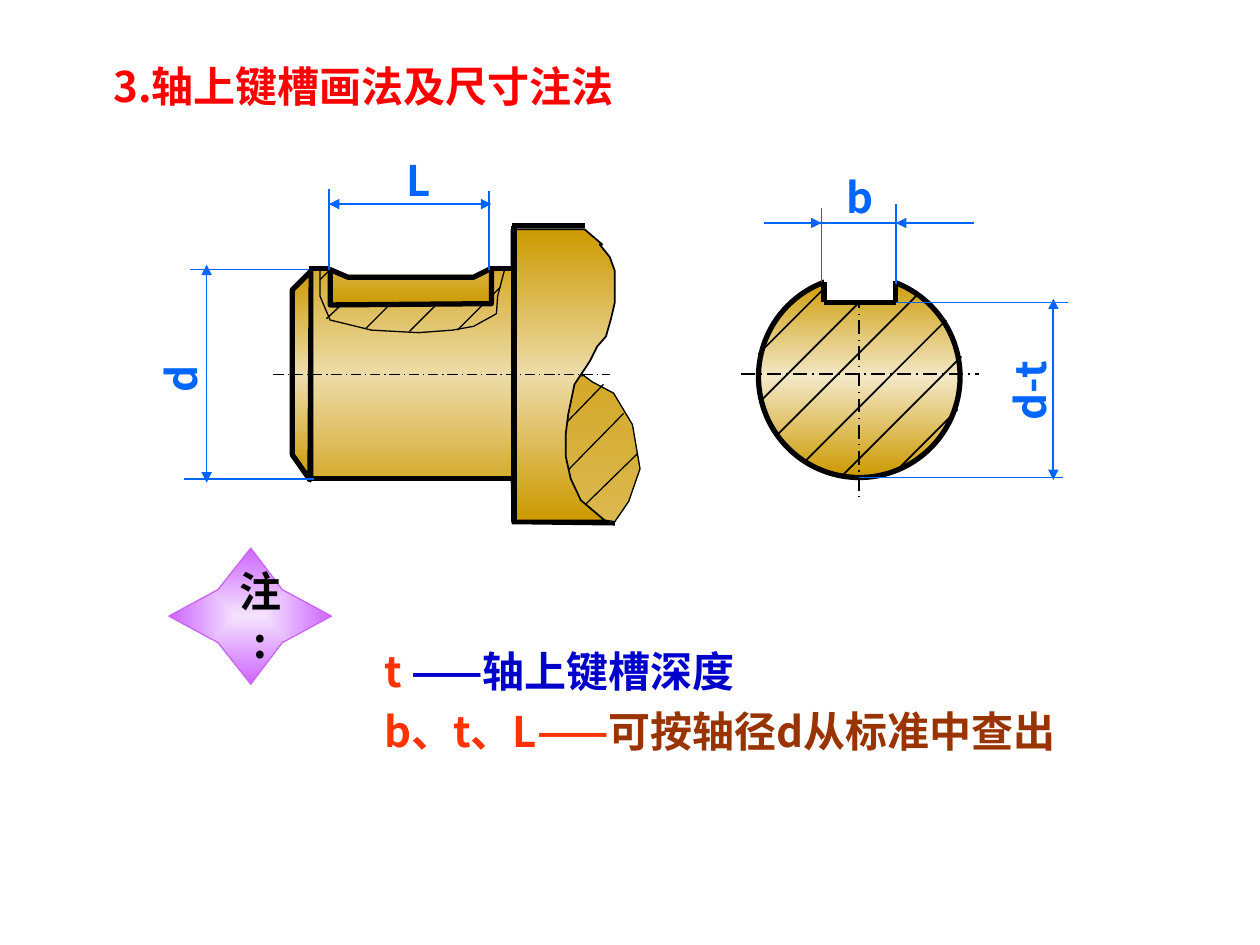
from pptx import Presentation
from pptx.dml.color import RGBColor
from pptx.enum import dml, shapes, text
from pptx.oxml import parse_xml
from pptx.oxml.ns import nsdecls, qn
from pptx.util import Inches, Pt

THEME = dict(
    font="Noto Sans CJK SC", size=24, black="000000", white="FFFFFF",
    title="FF0000", dim="0066FF", symbol="FF3300", depth="0000CC", lookup="993300",
    star_line="CC66FF", star=["F5E3FE", "CC66FF"],
    section=["CC9900", "DBB84F"], slot=["D9B445", "CC9900"],
    chamfer=["CC9900", "EEDEAE", "CC9900"],
    body=["CC9900", "EDDCA9", "CC9900"],
    disc=["CC9900", "F3E8C7", "CC9900"],
)
THICK, THIN, HAIR = 3, 1, 0.75

prs = Presentation()
prs.slide_width, prs.slide_height = Inches(10), Inches(7.5)
s = prs.slides.add_slide(prs.slide_layouts[5])


def paint(sp, stops, from_centre=False):
    """Fill with evenly spaced gradient stops, top to bottom or from the centre."""
    sp.fill.gradient()
    gs = "".join(
        f'<a:gs pos="{i * 100000 // (len(stops) - 1)}"><a:srgbClr val="{c}"/></a:gs>'
        for i, c in enumerate(stops))
    way = '<a:lin ang="5400000" scaled="0"/>'
    if from_centre:
        way = '<a:path path="rect"><a:fillToRect l="50000" t="50000" r="50000" b="50000"/></a:path>'
    spPr = sp.element.spPr
    spPr.replace(spPr.find(qn("a:gradFill")), parse_xml(
        f'<a:gradFill {nsdecls("a")} rotWithShape="1"><a:gsLst>{gs}</a:gsLst>{way}</a:gradFill>'))


def draw(points, width, color=THEME["black"], dashed=False, ends=()):
    """Draw a connector through two points, or a freeform through more."""
    pts = [(Inches(x), Inches(y)) for x, y in points]
    if len(pts) == 2:
        sp = s.shapes.add_connector(shapes.MSO_CONNECTOR.STRAIGHT, *pts[0], *pts[1])
    else:
        fb = s.shapes.build_freeform(*pts[0], scale=1.0)
        fb.add_line_segments(pts[1:], close=points[0] == points[-1])
        sp = fb.convert_to_shape()
        sp.shadow.inherit = False
        sp.fill.background()
    sp.line.width = Pt(width)
    sp.line.color.rgb = RGBColor.from_string(color)
    if dashed:
        sp.line.dash_style = dml.MSO_LINE.LONG_DASH_DOT
    spPr = sp.element.spPr
    for end in ends:
        spPr.find(qn("a:ln")).append(parse_xml(f'<a:{end} {nsdecls("a")} type="triangle"/>'))
    if len(pts) == 2:
        spPr.append(parse_xml(f'<a:effectLst {nsdecls("a")}/>'))
    return sp


# Shaft, side view: broken-out end, chamfer and body
for edge in [((2.48, 2.14), (4.06, 2.14)), ((4.06, 1.79), (4.64, 1.79)),
             ((4.06, 4.14), (4.88, 4.15))]:
    draw(edge, THICK)
section = [(4.64, 1.82), (4.83, 2.05), (4.87, 2.32), (4.78, 2.68), (4.56, 3.04), (4.48, 3.39),
           (4.48, 3.55), (4.5, 3.72), (4.58, 3.95), (4.75, 4.12), (4.88, 4.14), (4.99, 3.98),
           (5.08, 3.72), (5.02, 3.37), (4.87, 3.12), (4.7, 3.03), (4.62, 2.97), (4.62, 2.99)]
paint(draw(section, HAIR), THEME["section"])
for hatch in [((4.79, 3.05), (4.48, 3.37)), ((4.95, 3.28), (4.48, 3.76)),
              ((5.06, 3.6), (4.64, 4.01))]:
    draw(hatch, HAIR)
chamfer = [(2.46, 3.81), (2.32, 3.61), (2.32, 2.3), (2.47, 2.15), (2.46, 3.81)]
paint(draw(chamfer, THICK), THEME["chamfer"])
body = [(4.64, 1.82), (4.78, 1.94), (4.76, 1.94), (4.84, 2.04), (4.88, 2.15), (4.88, 2.4),
        (4.85, 2.53), (4.81, 2.67), (4.74, 2.75), (4.68, 2.87), (4.56, 3.05), (4.51, 3.29),
        (4.49, 3.45), (4.49, 3.62), (4.53, 3.8), (4.61, 3.97), (4.8, 4.13), (4.07, 4.13),
        (4.06, 3.8), (2.48, 3.8), (2.48, 2.13), (4.06, 2.14), (4.06, 1.82), (4.64, 1.82)]
paint(draw(body, THIN), THEME["body"])
draw([(2.17, 2.97), (4.84, 2.97)], HAIR, dashed=True)
for edge in [((4.08, 1.79), (4.08, 4.14)), ((2.44, 3.8), (4.07, 3.8))]:
    draw(edge, THICK)

# Shaft, cross-section
disc = s.shapes.add_shape(shapes.MSO_SHAPE.OVAL, Inches(6.02), Inches(2.19), Inches(1.6), Inches(1.6))
disc.shadow.inherit = False
disc.line.width = Pt(THICK)
disc.line.color.rgb = RGBColor.from_string(THEME["black"])
paint(disc, THEME["disc"])
for axis in [((5.88, 2.97), (7.77, 2.97)), ((6.82, 2.13), (6.82, 3.94))]:
    draw(axis, THIN, dashed=True)
for x, y, run in [(6.02, 2.81, 0.52), (6.05, 3.17, 0.77), (6.16, 3.46, 1.12),
                  (6.4, 3.65, 1.11), (6.67, 3.79, 0.96), (7.11, 3.74, 0.49)]:
    draw([(x, y), (x + run, y - run)], THIN)

# White cut-outs for the keyway in both views
for box in [(2.62, 1.94, 1.28, 0.24), (6.54, 2.07, 0.57, 0.34)]:
    cut = s.shapes.add_shape(shapes.MSO_SHAPE.RECTANGLE, *map(Inches, box))
    cut.shadow.inherit = False
    cut.fill.solid()
    cut.fill.fore_color.rgb = RGBColor.from_string(THEME["white"])
    cut.line.fill.background()

# Keyway with its local section
draw([(2.54, 2.14), (2.54, 2.35), (2.62, 2.54), (2.95, 2.62), (3.32, 2.64), (3.59, 2.62),
      (3.76, 2.59), (3.94, 2.49), (3.95, 2.35), (4.01, 2.12)], HAIR)
for hatch in [((2.67, 2.44), (2.87, 2.32)), ((3.63, 2.62), (3.97, 2.28)),
              ((3.25, 2.63), (3.48, 2.4)), ((2.9, 2.61), (3.09, 2.42)),
              ((2.59, 2.53), (2.71, 2.42)), ((2.54, 2.22), (2.63, 2.13))]:
    draw(hatch, HAIR)
slot = [(2.62, 2.14), (2.76, 2.2), (3.76, 2.2), (3.9, 2.13), (3.9, 2.41), (2.62, 2.42), (2.62, 2.14)]
paint(draw(slot, THICK), THEME["slot"])
for edge in [((3.89, 2.13), (4.07, 2.13)), ((2.45, 2.13), (2.61, 2.13)),
             ((6.54, 2.24), (6.54, 2.4)), ((7.11, 2.23), (7.11, 2.4)), ((7.11, 2.4), (6.54, 2.4))]:
    draw(edge, THICK)

# Dimensions d, d-t, L and b
for extension in [((2.45, 2.14), (1.51, 2.14)), ((2.49, 3.8), (1.46, 3.8)),
                  ((7.11, 2.4), (8.48, 2.4)), ((6.82, 3.79), (8.44, 3.79)),
                  ((2.61, 2.14), (2.61, 1.5)), ((3.88, 2.14), (3.88, 1.52)),
                  ((6.52, 2.24), (6.52, 1.65)), ((7.11, 2.25), (7.11, 1.62)),
                  ((6.06, 1.77), (7.73, 1.77))]:
    draw(extension, THIN, THEME["dim"])
for span in [((1.64, 2.1), (1.64, 3.83)), ((8.36, 2.37), (8.36, 3.81)), ((2.61, 1.62), (3.9, 1.62))]:
    draw(span, THIN, THEME["dim"], ends=("headEnd", "tailEnd"))
for arrow in [((6.39, 1.77), (6.52, 1.77)), ((7.39, 1.77), (7.11, 1.77))]:
    draw(arrow, THIN, THEME["dim"], ends=("tailEnd",))

star = [(1.34, 4.89), (1.73, 4.68), (1.99, 4.35), (2.24, 4.68), (2.63, 4.89),
        (2.24, 5.1), (1.99, 5.43), (1.73, 5.1), (1.34, 4.89)]
paint(draw(star, HAIR, THEME["star_line"]), THEME["star"], from_centre=True)

# Text: box, rotation, wrap, alignment, line spacing, paragraphs of (text, colour) runs
LEFT, CENTER = text.PP_ALIGN.LEFT, text.PP_ALIGN.CENTER
title = s.shapes.title
labels = [
    ((0.8, 0.4, 4.56, 0.56), 0, True, LEFT, 1, [[("3.轴上键槽画法及尺寸注法", "title")]]),
    ((1.23, 2.76, 0.41, 0.5), 270, False, CENTER, 1, [[("d", "dim")]]),
    ((7.77, 2.85, 0.8, 0.5), 270, True, CENTER, 1, [[("d-t", "dim")]]),
    ((3.13, 1.18, 0.39, 0.5), 0, False, CENTER, 1, [[("L", "dim")]]),
    ((6.56, 1.31, 0.53, 0.5), 0, True, CENTER, 1, [[("b", "dim")]]),
    ((1.71, 4.64, 0.71, 0.5), 0, False, CENTER, 1, [[("注\v:", "black")]]),
    ((2.95, 4.99, 6.4, 1.06), 0, True, LEFT, 1.2,
     [[("t ", "symbol"), ("——轴上键槽深度", "depth")],
      [("b、t、L——", "symbol"), ("可按轴径d从标准中查出", "lookup")]]),
]
for box, rotation, wrap, align, spacing, paragraphs in labels:
    sp = title if paragraphs[0][0][1] == "title" else s.shapes.add_textbox(0, 0, 0, 0)
    sp.left, sp.top, sp.width, sp.height = map(Inches, box)
    sp.rotation = rotation
    tf = sp.text_frame
    tf.word_wrap = wrap
    tf.auto_size = text.MSO_AUTO_SIZE.NONE
    tf.vertical_anchor = text.MSO_ANCHOR.MIDDLE
    tf.text = "\n".join("" for _ in paragraphs)
    for p, runs in zip(tf.paragraphs, paragraphs):
        p.alignment, p.line_spacing = align, spacing
        for wording, color in runs:
            for i, line in enumerate(wording.split("\v")):
                if i:
                    p.add_line_break()
                r = p.add_run()
                r.text = line
                r.font.size, r.font.bold = Pt(THEME["size"]), True
                r.font.color.rgb = RGBColor.from_string(THEME[color])
                r.font.name = THEME["font"]
                r.font._element.append(parse_xml(
                    f'<a:ea {nsdecls("a")} typeface="{THEME["font"]}"/>'))

prs.save("out.pptx")
